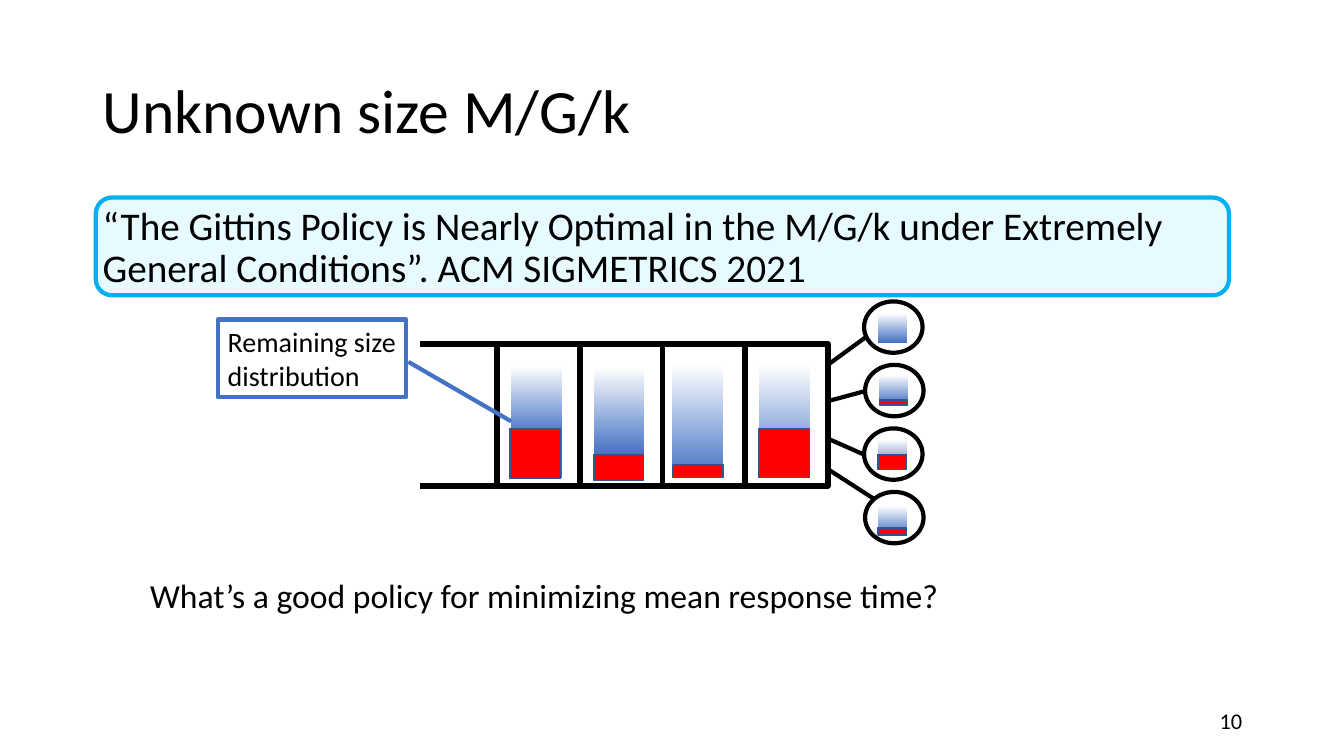
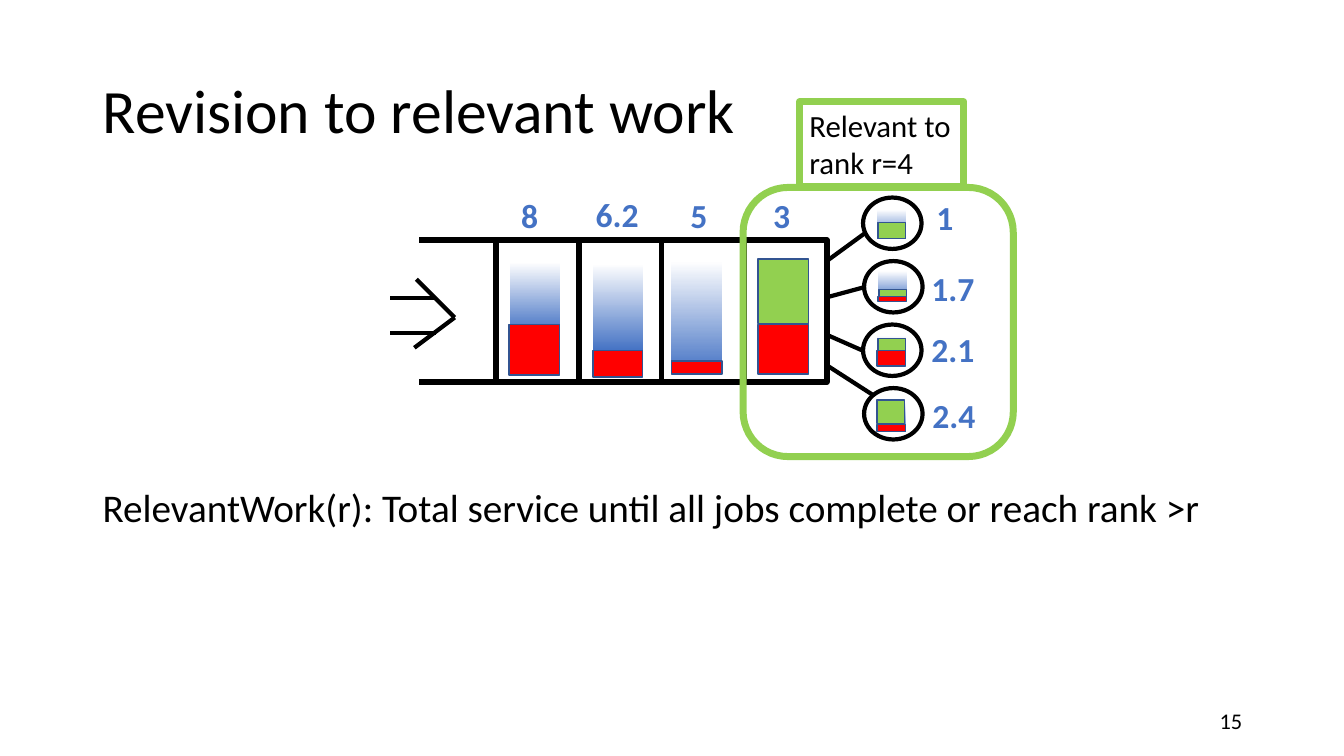
import pptx
import pptx.dml.color
import pptx.enum.shapes
import pptx.enum.text
import pptx.oxml
import pptx.oxml.ns
import pptx.util

Inches = pptx.util.Inches
Pt = pptx.util.Pt
RGBColor = pptx.dml.color.RGBColor
MSO_SHAPE = pptx.enum.shapes.MSO_SHAPE
PP_ALIGN = pptx.enum.text.PP_ALIGN
MSO_ANCHOR = pptx.enum.text.MSO_ANCHOR

BLACK = RGBColor(0x00, 0x00, 0x00)
WHITE = RGBColor(0xFF, 0xFF, 0xFF)
BLUE = RGBColor(0x44, 0x72, 0xC4)
DARK_BLUE = RGBColor(0x32, 0x54, 0x91)
RED = RGBColor(0xFF, 0x00, 0x00)
GREEN = RGBColor(0x92, 0xD0, 0x50)
CYAN = RGBColor(0x00, 0xB0, 0xF0)
PALE_CYAN = RGBColor(0xE7, 0xFA, 0xFF)
FONT = "Calibri"

CELL_W, CELL_H = 0.82, 1.41
SERVER_STEP = 0.63

# Positions below are relative to the top left corner of the queue.
SERVER_LINKS = [
    (4.04, 0.21, 4.41, -0.06),
    (4.04, 0.57, 4.41, 0.47),
    (4.06, 0.95, 4.40, 1.10),
    (4.05, 1.25, 4.50, 1.54),
]
# left, top, width, height, first stop, last stop
SIZE_GRADIENTS = [
    (0.90, 0.21, 0.50, 1.12, 0.01, 0.63),
    (1.72, 0.21, 0.50, 0.89, 0.03, 1),
    (2.50, 0.21, 0.50, 1.12, 0, 1),
    (3.36, 0.21, 0.50, 1.12, 0, 1),
    (4.54, -0.30, 0.29, 0.29, 0, 1),
    (4.55, 0.31, 0.29, 0.29, 0, 1),
    (4.54, 0.95, 0.29, 0.29, 0, 1),
    (4.54, 1.61, 0.29, 0.29, 0, 1),
]
SERVED_PARTS = [
    (0.89, 0.84, 0.50, 0.50),
    (1.72, 1.10, 0.49, 0.26),
    (2.50, 1.20, 0.50, 0.13),
    (3.36, 0.84, 0.50, 0.49),
    (4.55, 0.56, 0.28, 0.05),
    (4.54, 1.10, 0.28, 0.15),
    (4.54, 1.83, 0.28, 0.07),
]

# Positions below are on the slide.
RANKS = [
    ("8", 5.07, 1.88, 0.48),
    ("6.2", 5.81, 1.87, 0.67),
    ("5", 6.75, 1.88, 0.37),
    ("3", 7.57, 1.88, 0.37),
    ("1", 9.19, 1.90, 0.37),
    ("1.7", 9.14, 2.61, 0.66),
    ("2.1", 9.14, 3.21, 0.66),
    ("2.4", 9.15, 3.87, 0.66),
]
ARRIVAL_ARROW = [
    (4.13, 2.77, 4.51, 3.15),
    (4.11, 3.45, 4.51, 3.15),
    (3.87, 2.96, 4.32, 2.96),
    (3.87, 3.30, 4.32, 3.30),
]
RELEVANT_PARTS = [
    (7.52, 2.57, 0.50, 0.64),
    (8.70, 3.97, 0.27, 0.23),
    (8.71, 3.36, 0.27, 0.12),
    (8.72, 2.87, 0.27, 0.07),
    (8.71, 2.21, 0.27, 0.16),
]


def write(sp, text, size, color=BLACK, bold=False, align=PP_ALIGN.LEFT,
          anchor=MSO_ANCHOR.TOP, line_spacing=1.0, space_before=0):
    tf = sp.text_frame
    tf.word_wrap = True
    tf.vertical_anchor = anchor
    p = tf.paragraphs[0]
    p.text = text
    p.alignment = align
    p.line_spacing = line_spacing
    p.space_before = Pt(space_before)
    p.font.name = FONT
    p.font.size = Pt(size)
    p.font.bold = bold
    p.font.color.rgb = color


def add_text(shapes, box, text, size, **style):
    sp = shapes.add_textbox(*map(Inches, box))
    write(sp, text, size, **style)


def add_box(shapes, box, fill=None, line=None, width=1,
            kind=MSO_SHAPE.RECTANGLE):
    """Add a preset shape; without a fill or line colour it has none."""
    sp = shapes.add_shape(kind, *map(Inches, box))
    sp.shadow.inherit = False
    if fill is None:
        sp.fill.background()
    else:
        sp.fill.solid()
        sp.fill.fore_color.rgb = fill
    if line is None:
        sp.line.fill.background()
    else:
        sp.line.color.rgb = line
        sp.line.width = Pt(width)
    return sp


def add_gradient(shapes, box, first, last):
    sp = add_box(shapes, box)
    sp.fill.gradient()
    sp.fill.gradient_angle = 270
    stops = zip(sp.fill.gradient_stops, (WHITE, BLUE), (first, last))
    for stop, color, position in stops:
        stop.color.rgb = color
        stop.position = position


def add_line(shapes, ends, width=3, color=BLACK):
    connector = shapes.add_connector(
        pptx.enum.shapes.MSO_CONNECTOR.STRAIGHT, *map(Inches, ends))
    connector.line.color.rgb = color
    connector.line.width = Pt(width)
    effects = pptx.oxml.parse_xml(
        "<a:effectLst %s/>" % pptx.oxml.ns.nsdecls("a"))
    connector._element.spPr.append(effects)


def add_queue(slide, left, top):
    """Draw the waiting line, its four servers and the jobs in both."""
    shapes = slide.shapes.add_group_shape().shapes
    right = left + 4.04
    for y in (top, top + CELL_H):
        add_line(shapes, (left, y, right, y), 4)
    for i in range(1, 5):
        add_box(shapes, (right - i * CELL_W, top, CELL_W, CELL_H),
                WHITE, BLACK, 4)
    for i in range(4):
        x = left + 4.40 + 0.01 * (i % 2)
        y = top - 0.42 + i * SERVER_STEP
        add_box(shapes, (x, y, 0.58, 0.51), WHITE, BLACK, 3, MSO_SHAPE.OVAL)
    for x1, y1, x2, y2 in SERVER_LINKS:
        add_line(shapes, (left + x1, top + y1, left + x2, top + y2))
    for x, y, w, h, first, last in SIZE_GRADIENTS:
        add_gradient(shapes, (left + x, top + y, w, h), first, last)
    for x, y, w, h in SERVED_PARTS:
        add_box(shapes, (left + x, top + y, w, h), RED, DARK_BLUE)


def add_frame(slide, title, number):
    """Add the title and the slide number."""
    add_text(slide.shapes, (0.92, 0.4, 11.5, 1.45), title, 44,
             anchor=MSO_ANCHOR.MIDDLE, line_spacing=0.9)
    add_text(slide.shapes, (9.42, 6.95, 3, 0.4), number, 16,
             align=PP_ALIGN.RIGHT, anchor=MSO_ANCHOR.MIDDLE)


def add_body(slide, top, height, text):
    add_text(slide.shapes, (0.92, top, 11.5, height), text, 28,
             line_spacing=0.9, space_before=10)


def build_unknown_size(slide):
    add_frame(slide, "Unknown size M/G/k", "10")
    add_box(slide.shapes, (0.95, 1.96, 11.24, 0.97), PALE_CYAN, CYAN, 3,
            MSO_SHAPE.ROUNDED_RECTANGLE)
    add_queue(slide, 4.17, 3.41)
    add_body(slide, 2, 4.76,
             "“The Gittins Policy is Nearly Optimal in the M/G/k under "
             "Extremely General Conditions”. ACM SIGMETRICS 2021")
    callout = slide.shapes.add_group_shape().shapes
    sp = add_box(callout, (2.16, 3.17, 1.87, 0.77), WHITE, BLUE, 3)
    write(sp, "Remaining size distribution", 20)
    sp.text_frame.margin_right = Inches(0.05)
    add_line(callout, (4.05, 3.59, 5.07, 4.18), color=BLUE)
    add_text(slide.shapes, (1.39, 5.65, 9.5, 0.5),
             "What’s a good policy for minimizing mean response time?", 24)


def build_relevant_work(slide):
    add_frame(slide, "Revision to relevant work", "15")
    add_body(slide, 4.8, 2.2, "RelevantWork(r): Total service until all "
             "jobs complete or reach rank >r")
    add_queue(slide, 4.16, 2.38)
    for rank, x, y, w in RANKS:
        add_text(slide.shapes, (x, y, w, 0.5), rank, 24, color=BLUE,
                 bold=True)
    arrow = slide.shapes.add_group_shape().shapes
    for ends in ARRIVAL_ARROW:
        add_line(arrow, ends)
    highlight = slide.shapes.add_group_shape().shapes
    add_box(highlight, (7.37, 1.86, 2.68, 2.67), line=GREEN, width=5,
            kind=MSO_SHAPE.ROUNDED_RECTANGLE)
    sp = add_box(highlight, (7.93, 1.01, 1.63, 0.84), line=GREEN, width=5)
    write(sp, "Relevant to rank r=4", 22)
    sp.text_frame.margin_right = Inches(0.05)
    relevant = slide.shapes.add_group_shape().shapes
    for box in RELEVANT_PARTS:
        add_box(relevant, box, GREEN, DARK_BLUE)


def main():
    prs = pptx.Presentation()
    prs.slide_width, prs.slide_height = Inches(13.33), Inches(7.5)
    for build in (build_unknown_size, build_relevant_work):
        build(prs.slides.add_slide(prs.slide_layouts[6]))
    prs.save("out.pptx")


if __name__ == "__main__":
    main()
